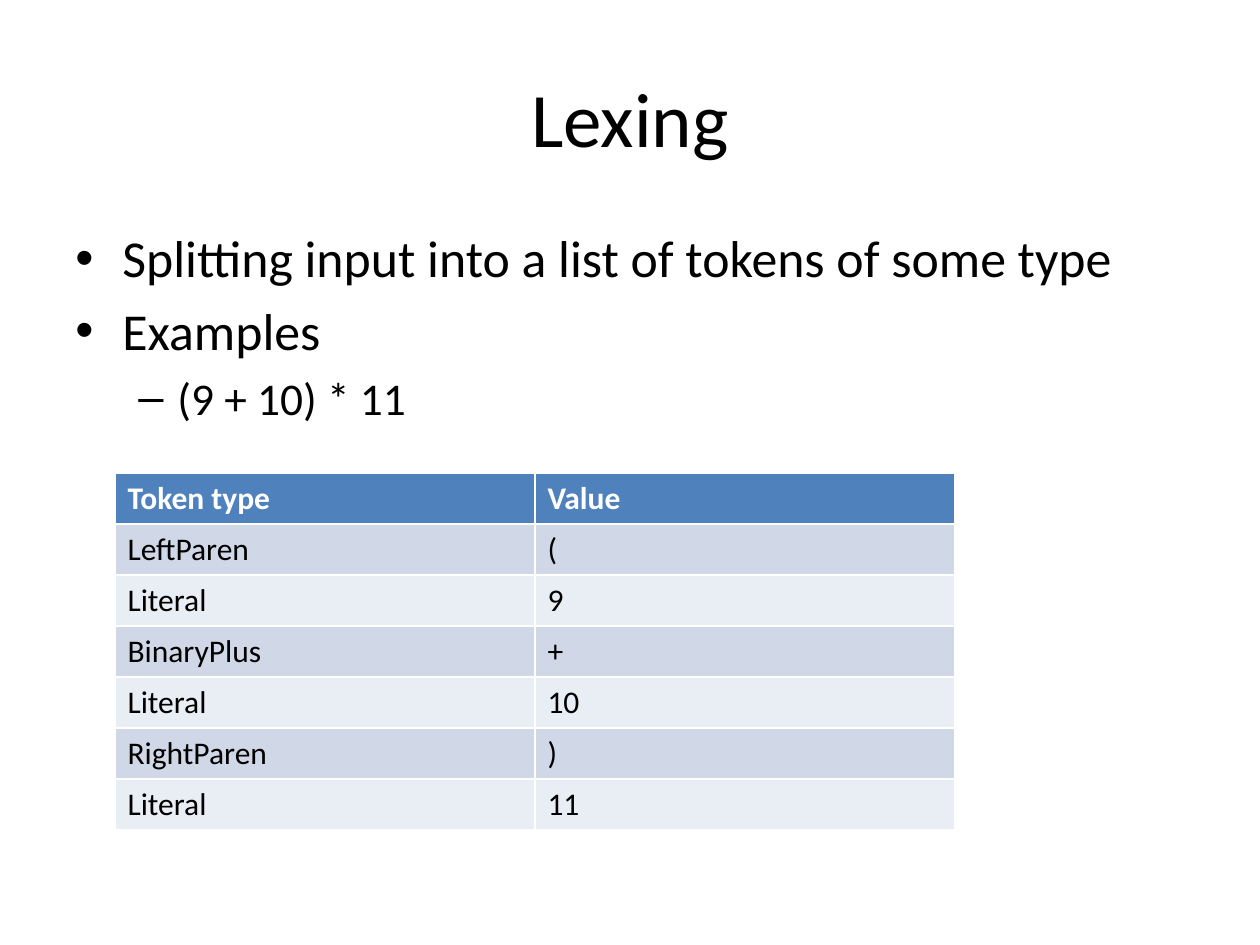
"""Builds a slide on lexing, with bullets and a table of tokens."""
from lxml import etree
from pptx import Presentation
from pptx.dml.color import RGBColor
from pptx.enum.text import MSO_ANCHOR, PP_ALIGN
from pptx.oxml.ns import qn
from pptx.util import Pt

PX = 914400 // 126
FONT = "Calibri"
BLACK, WHITE = "000000", "FFFFFF"
HEADER_FILL, BAND_FILLS = "4F81BD", ("D0D8E8", "E9EDF4")

TITLE = "Lexing"
BULLETS = [
    (0, "Splitting input into a list of tokens of some type"),
    (0, "Examples"),
    (1, "(9 + 10) * 11"),
]
LEVELS = [
    {"mark": "•", "size": 29.6, "left": 47, "hang": 47},
    {"mark": "–", "size": 25.9, "left": 102, "hang": 39},
]
TOKENS = [
    ("Token type", "Value"),
    ("LeftParen", "("),
    ("Literal", "9"),
    ("BinaryPlus", "+"),
    ("Literal", "10"),
    ("RightParen", ")"),
    ("Literal", "11"),
]
TITLE_BOX = (63, 38, 1134, 157)
BODY_BOX = (63, 220, 1134, 262)
TABLE_LEFT, TABLE_TOP, COLUMN_WIDTH, ROW_HEIGHT = 115, 473, 420, 51


def px(*lengths):
    return [length * PX for length in lengths]


def color(value):
    return RGBColor.from_string(value)


def write(paragraph, text, size, ink=BLACK, bold=False):
    run = paragraph.add_run()
    run.text = text
    run.font.name, run.font.size, run.font.bold = FONT, Pt(size), bold
    run.font.color.rgb = color(ink)


def add_frame(slide, box):
    frame = slide.shapes.add_textbox(*px(*box)).text_frame
    frame.word_wrap = True
    return frame


def add_bullet(paragraph, level, text):
    style = LEVELS[level]
    paragraph.level = level
    paragraph.space_before = Pt(round(style["size"] * 0.2, 1))
    write(paragraph, text, style["size"])
    properties = paragraph._p.get_or_add_pPr()
    properties.set("marL", str(style["left"] * PX))
    properties.set("indent", str(-style["hang"] * PX))
    etree.SubElement(properties, qn("a:buFont"), typeface="Arial")
    etree.SubElement(properties, qn("a:buChar"), char=style["mark"])


def add_token_table(slide):
    rows, columns = len(TOKENS), len(TOKENS[0])
    box = px(TABLE_LEFT, TABLE_TOP, columns * COLUMN_WIDTH, rows * ROW_HEIGHT)
    table = slide.shapes.add_table(rows, columns, *box).table
    for r, values in enumerate(TOKENS):
        header = r == 0
        fill = HEADER_FILL if header else BAND_FILLS[(r - 1) % 2]
        for c, value in enumerate(values):
            cell = table.cell(r, c)
            cell.fill.solid()
            cell.fill.fore_color.rgb = color(fill)
            ink = WHITE if header else BLACK
            write(cell.text_frame.paragraphs[0], value, 18, ink, header)


prs = Presentation()
prs.slide_width, prs.slide_height = px(1260, 945)
slide = prs.slides.add_slide(prs.slide_layouts[6])

title = add_frame(slide, TITLE_BOX)
title.vertical_anchor = MSO_ANCHOR.MIDDLE
title.paragraphs[0].alignment = PP_ALIGN.CENTER
write(title.paragraphs[0], TITLE, 44)

body = add_frame(slide, BODY_BOX)
for i, (level, text) in enumerate(BULLETS):
    add_bullet(body.add_paragraph() if i else body.paragraphs[0], level, text)

add_token_table(slide)
prs.save("out.pptx")
